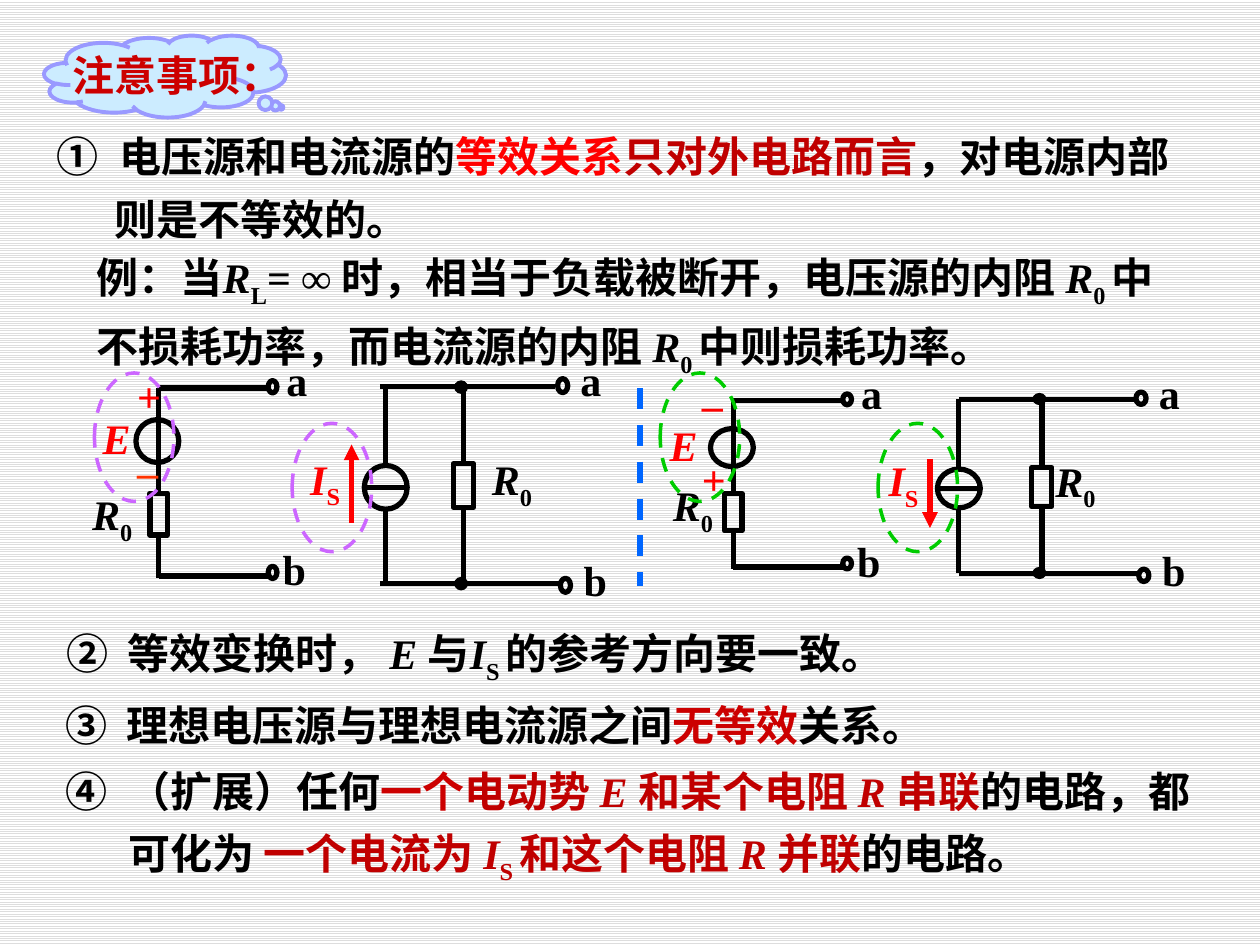
from lxml.etree import SubElement
from pptx import Presentation
from pptx.dml.color import RGBColor
from pptx.enum.dml import MSO_LINE, MSO_PATTERN
from pptx.enum.shapes import MSO_CONNECTOR, MSO_SHAPE
from pptx.enum.text import MSO_ANCHOR, PP_ALIGN
from pptx.oxml.ns import qn
from pptx.util import Pt

COLORS = {
    "black": "000000", "red": "FF0000", "orange": "FF3300", "crimson": "CC0000",
    "maroon": "C00000", "cloud": "CCECFF", "cloud_line": "9999FF", "blue": "0066FF",
    "green": "00CC00", "violet": "CC66FF", "stripe": "DDDDDD", "white": "FFFFFF",
}


def color_of(name):
    return RGBColor.from_string(COLORS[name])


def add_runs(paragraph, runs, color="black"):
    for text, *style in runs:
        run = paragraph.add_run()
        run.text = text
        run.font.name = "Times New Roman"
        run.font.size = Pt(24)
        run.font.bold = True
        run.font.italic = "italic" in style
        names = [name for name in style if name in COLORS]
        run.font.color.rgb = color_of(names[0] if names else color)
        if "sub" in style:
            run._r.get_or_add_rPr().set("baseline", "-25000")


def add_text(slide, box, paragraphs, color="black", number=None, hanging=36,
             indent=0, line_spacing=1.2, space_before=1):
    shape = slide.shapes.add_textbox(*map(Pt, box))
    frame = shape.text_frame
    frame.word_wrap = True
    for index, runs in enumerate(paragraphs):
        paragraph = frame.paragraphs[0] if index == 0 else frame.add_paragraph()
        paragraph.line_spacing = line_spacing
        properties = paragraph._p.get_or_add_pPr()
        if index:
            paragraph.space_before = Pt(space_before)
            properties.set("marL", str(Pt(indent)))
        elif number:
            properties.set("marL", str(Pt(hanging)))
            properties.set("indent", str(-Pt(hanging)))
            SubElement(properties, qn("a:buAutoNum"), type="circleNumDbPlain", startAt=str(number))
        add_runs(paragraph, runs, color)
    return shape


def add_label(slide, center_x, center_y, runs, color="black"):
    shape = add_text(slide, (center_x - 30, center_y - 18, 60, 36), [runs], color, line_spacing=1)
    shape.text_frame.vertical_anchor = MSO_ANCHOR.MIDDLE
    shape.text_frame.paragraphs[0].alignment = PP_ALIGN.CENTER


def add_line(slide, start, end, color="black", dash=None, arrow=False):
    line = slide.shapes.add_connector(MSO_CONNECTOR.STRAIGHT, *map(Pt, (*start, *end)))
    line.line.color.rgb = color_of(color)
    line.line.width = Pt(3)
    if dash:
        line.line.dash_style = dash
    if arrow:
        SubElement(line.line._get_or_add_ln(), qn("a:tailEnd"), type="triangle")
    SubElement(line._element.spPr, qn("a:effectLst"))


def add_outline(slide, kind, box, color="black", weight=3, fill=None, dash=None):
    shape = slide.shapes.add_shape(kind, *map(Pt, box))
    shape.shadow.inherit = False
    if fill:
        shape.fill.solid()
        shape.fill.fore_color.rgb = color_of(fill)
    else:
        shape.fill.background()
    shape.line.color.rgb = color_of(color)
    shape.line.width = Pt(weight)
    if dash:
        shape.line.dash_style = dash
    return shape


def add_title_cloud(slide, box):
    cloud = add_outline(slide, MSO_SHAPE.CLOUD_CALLOUT, box, "cloud_line", 2.25, "cloud")
    cloud.adjustments[0] = 0.48
    cloud.adjustments[1] = 0.38
    frame = cloud.text_frame
    frame.word_wrap = False
    frame.margin_left = Pt(31.2)
    frame.vertical_anchor = MSO_ANCHOR.MIDDLE
    frame.paragraphs[0].alignment = PP_ALIGN.CENTER
    add_runs(frame.paragraphs[0], [("注意事项：",)], "crimson")


def add_terminals(slide, ends, size, labels):
    for (x, y), (label_x, label_y), name in zip(ends, labels, "ab"):
        add_outline(slide, MSO_SHAPE.OVAL, (x, y - size[1] / 2, *size))
        add_label(slide, label_x, label_y, [(name,)])


def add_voltage_source(slide, left, top, height, signs, sign_shift, emf_shift, resistor_label):
    scale = height / 107.3
    bottom = top + height
    resistor_top, resistor_bottom = top + 60 * scale, top + 84 * scale
    add_outline(slide, MSO_SHAPE.OVAL, (left - 13, top + 18 * scale, 24.5, 24.5 * scale))
    add_outline(slide, MSO_SHAPE.RECTANGLE, (left - 5, resistor_top, 10, 24 * scale))
    add_line(slide, (left, top), (left, resistor_top))
    add_line(slide, (left, resistor_bottom), (left, bottom + 1))
    for y in (top, bottom):
        add_line(slide, (left, y), (left + 62.6, y))
    add_terminals(slide, [(left + 62.6, top - 0.8), (left + 62.6, bottom - 2)], (5, 7 * scale),
                  [(left + 79, top - 4.7), (left + 77.5, top + 103 * scale)])
    polarity = add_text(slide, (left + sign_shift - 10, top + 26 * scale - 40, 20, 80),
                        [[sign] for sign in signs], "red", line_spacing=1, space_before=14)
    polarity.text_frame.vertical_anchor = MSO_ANCHOR.MIDDLE
    for paragraph in polarity.text_frame.paragraphs:
        paragraph.alignment = PP_ALIGN.CENTER
    add_label(slide, left + emf_shift, top + 28.2 * scale, [("E", "italic")], "red")
    add_label(slide, left + resistor_label[0], top + resistor_label[1],
              [("R", "italic"), ("0", "sub")])


def add_current_source(slide, left, top, height, stem, arrow, resistor_label):
    scale = height / 112.3
    bottom = top + height
    source_x, branch_x = left + stem, left + 47.5
    source_top, source_height = top + 45 * scale, 25 * scale
    add_outline(slide, MSO_SHAPE.OVAL, (source_x - 12.2, source_top, 24.5, source_height))
    add_line(slide, (source_x - 12.2, source_top + source_height / 2),
             (source_x + 12.2, source_top + source_height / 2))
    add_outline(slide, MSO_SHAPE.RECTANGLE, (branch_x - 5.8, top + 44 * scale, 11.5, source_height))
    for x, part_top in ((source_x, source_top), (branch_x, top + 44 * scale)):
        add_line(slide, (x, top), (x, part_top))
        add_line(slide, (x, part_top + source_height), (x, bottom))
    for y, length in ((top, 100), (bottom, 103)):
        add_line(slide, (left, y), (left + length, y))
        add_outline(slide, MSO_SHAPE.OVAL, (left + 42.5, y - 3.3, 7.2, 7 * scale),
                    weight=0.75, fill="black")
    add_terminals(slide, [(left + 101.2, top - 0.6), (left + 102.8, bottom + 1.2)],
                  (5.8, 8 * scale),
                  [(left + 120.3, top - 4), (left + 122.8, top + 110 * scale)])
    add_label(slide, left - 31.6, top + 54.4 * scale, [("I", "italic"), ("S", "sub")], "red")
    add_label(slide, left + resistor_label, top + 54.6 * scale, [("R", "italic"), ("0", "sub")])
    add_line(slide, (left - 16.5, top + arrow[0]), (left - 16.5, top + arrow[1]), "red", arrow=True)


def add_circuits(slide):
    add_voltage_source(slide, 90.7, 221.8, 107.3, [("+",), ("–", "orange")], -9.4, -24, (-26.6, 73.8))
    add_current_source(slide, 217.4, 221, 112.3, 3, (78, 33), 75.2)
    add_voltage_source(slide, 419, 229, 95, [("–",), ("+",)], -15, -28.4, (-23, 61.5))
    add_current_source(slide, 547.9, 228.2, 99.4, 0, (34, 73.5), 66.6)
    add_line(slide, (365.8, 221.8), (365.8, 334.8), "blue", MSO_LINE.DASH)
    for color, lefts in (("green", (377.3, 501.8)), ("violet", (54, 167))):
        for left, top in zip(lefts, (213.1, 241.9)):
            add_outline(slide, MSO_SHAPE.OVAL, (left, top, 45.4, 73.4), color, 2, dash=MSO_LINE.DASH)


def add_notes_text(slide):
    add_text(slide, (25.2, 65.5, 657.4, 75), [
        [("电压源和电流源的",), ("等效关系", "red"), ("只对外电路而言", "maroon"),
         ("，对电源内部",)],
        [("则是不等效的。",)],
    ], number=1, indent=33)
    add_text(slide, (48.2, 133.9, 635, 77), [[
        ("例：当",), ("R", "italic"), ("L", "sub"),
        ("= ∞ 时，相当于负载被断开，电压源的内阻 ",), ("R", "italic"), ("0 ", "sub"),
        ("中不损耗功率，而电流源的内阻 ",), ("R", "italic"), ("0 ", "sub"),
        ("中则损耗功率。",),
    ]])
    add_text(slide, (31, 348.5, 671.8, 42.5), [[
        ("等效变换时， ",), ("E ", "italic"), ("与",), ("I", "italic"), ("S ", "sub"),
        ("的参考方向要一致。",),
    ]], number=2, hanging=35)
    add_text(slide, (30.2, 390.2, 630.7, 42.5), [[
        ("理想电压源与理想电流源之间",), ("无等效", "crimson"), ("关系。",),
    ]], number=3, hanging=35)
    add_text(slide, (30.2, 428.4, 660.2, 77), [[
        ("（扩展）任何",), ("一个", "crimson"), ("电动势 ", "maroon"),
        ("E ", "maroon", "italic"), ("和某个电阻 ", "maroon"), ("R ", "maroon", "italic"),
        ("串联", "maroon"), ("的电路，都可化为 ",), ("一个电流为 ", "maroon"),
        ("I", "maroon", "italic"), ("S ", "maroon", "sub"), ("和这个电阻 ", "maroon"),
        ("R ", "maroon", "italic"), ("并联", "maroon"), ("的电路。",),
    ]], number=4)


def main():
    presentation = Presentation()
    presentation.slide_width, presentation.slide_height = Pt(720), Pt(540)
    slide = presentation.slides.add_slide(presentation.slide_layouts[6])
    background = slide.background.fill
    background.patterned()
    background.pattern = MSO_PATTERN.LIGHT_HORIZONTAL
    background.fore_color.rgb = color_of("stripe")
    background.back_color.rgb = color_of("white")
    add_notes_text(slide)
    add_title_cloud(slide, (25.2, 20.2, 138.2, 46.8))
    add_circuits(slide)
    presentation.save("out.pptx")


if __name__ == "__main__":
    main()
